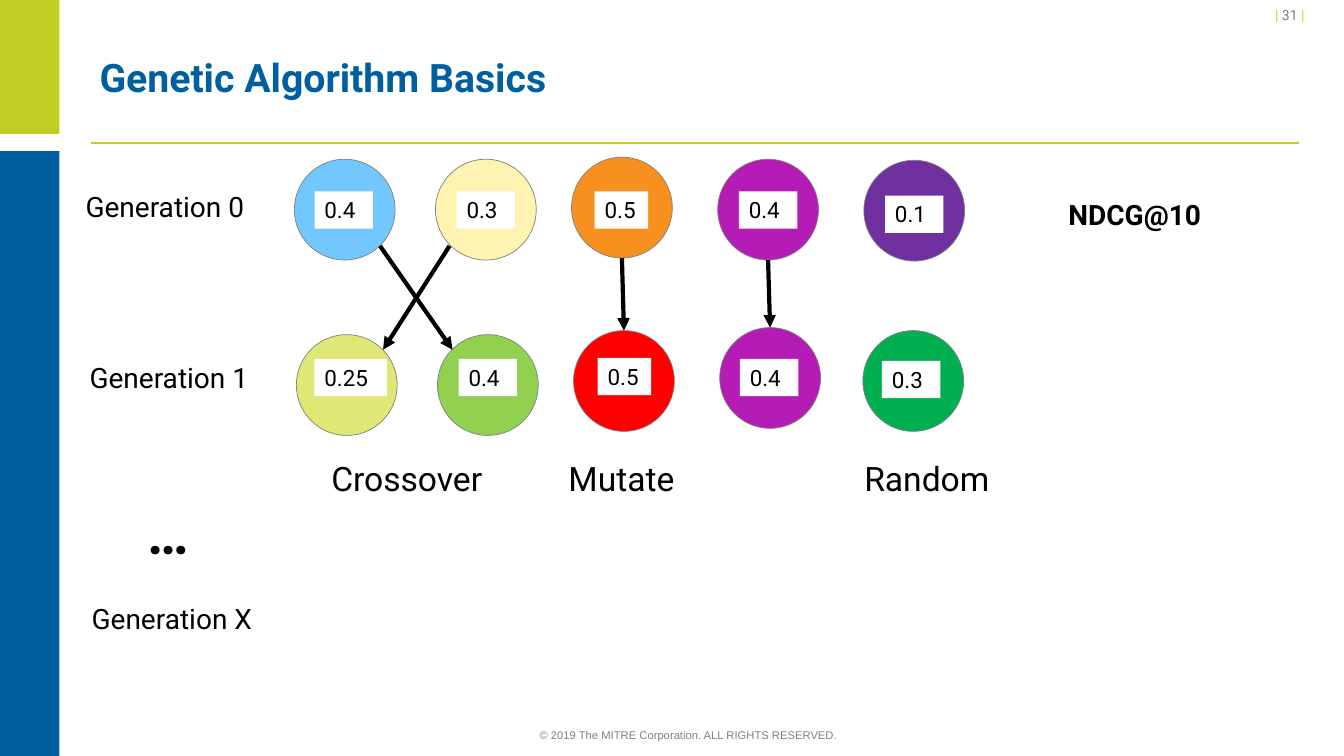
"""Builds a slide showing how a genetic algorithm moves from one generation to the next."""
from lxml import etree
from pptx import Presentation
from pptx.dml.color import RGBColor
from pptx.enum.shapes import MSO_CONNECTOR, MSO_SHAPE
from pptx.enum.text import MSO_ANCHOR, PP_ALIGN
from pptx.oxml.ns import qn
from pptx.util import Inches, Pt

RECT, OVAL, STRAIGHT = MSO_SHAPE.RECTANGLE, MSO_SHAPE.OVAL, MSO_CONNECTOR.STRAIGHT
LEFT, CENTER, RIGHT = PP_ALIGN.LEFT, PP_ALIGN.CENTER, PP_ALIGN.RIGHT
TOP, MIDDLE, BOTTOM = MSO_ANCHOR.TOP, MSO_ANCHOR.MIDDLE, MSO_ANCHOR.BOTTOM

WIDTH, HEIGHT = Inches(13.33), Inches(7.5)
COLUMNS, ROWS = 40, 30
CIRCLE = (3, 4)
LABEL_HEIGHT = 1.48

COLORS = {
    "lime": "C1CD23", "blue": "005F9E", "grey": "808080", "black": "000000",
    "white": "FFFFFF", "sky": "72C7FF", "cream": "FFF3B1", "orange": "F7901E",
    "magenta": "B51BB5", "purple": "7030A0", "pear": "DFE775", "leaf": "92D050",
    "red": "FF0000", "green": "00B050",
}

# Each member: circle column and row, fill, label column, row and width, value.
GENERATION_0 = [
    (8.76, 6.32, "sky", 9.36, 7.6, 1.74, "0.4"),
    (12.96, 6.32, "cream", 13.59, 7.6, 1.74, "0.3"),
    (17.01, 6.24, "orange", 17.7, 7.6, 1.59, "0.5"),
    (21.36, 6.32, "magenta", 21.99, 7.6, 1.74, "0.4"),
    (25.71, 6.36, "purple", 26.34, 7.76, 1.74, "0.1"),
]
GENERATION_1 = [
    (8.82, 13.28, "pear", 9.36, 14.24, 2.16, "0.25"),
    (13.02, 13.28, "leaf", 13.65, 14.24, 1.74, "0.4"),
    (17.07, 13.12, "red", 17.79, 14.2, 1.59, "0.5"),
    (21.42, 13, "magenta", 22.02, 14.24, 1.74, "0.4"),
    (25.68, 13.12, "green", 26.25, 14.32, 1.74, "0.3"),
]
CROSSOVER_ARROWS = [(11.31, 9.76, 13.47, 13.88), (13.38, 9.76, 11.4, 13.88)]
CAPTIONS = [
    (2.25, 7.32, 5.76, 1.76, "Generation 0", 20, LEFT, False),
    (2.37, 14.12, 5.76, 1.76, "Generation 1", 20, LEFT, False),
    (2.43, 23.68, 6.09, 1.76, "Generation X", 20, LEFT, False),
    (3.24, 19.6, 3.51, 3.08, "…", 40, CENTER, True),
    (31.5, 7.64, 4.89, 1.76, "NDCG@10", 20, LEFT, True),
    (9.51, 17.96, 5.19, 2, "Crossover", 24, CENTER, False),
    (15.9, 17.96, 5.19, 2, "Mutate", 24, CENTER, False),
    (24.99, 17.96, 5.19, 2, "Random", 24, CENTER, False),
]


def rgb(name):
    """Return a named colour."""
    return RGBColor.from_string(COLORS[name])


def place(*cells):
    """Turn alternating columns and rows into slide lengths."""
    steps = (WIDTH / COLUMNS, HEIGHT / ROWS)
    return [round(cell * steps[i % 2]) for i, cell in enumerate(cells)]


def add_block(slide, kind, box, fill, outline=None):
    """Add a filled preset shape."""
    s = slide.shapes.add_shape(kind, *place(*box))
    s.shadow.inherit = False
    s.fill.solid()
    s.fill.fore_color.rgb = rgb(fill)
    if outline:
        s.line.color.rgb = rgb(outline)
        s.line.width = Pt(0.5)
    else:
        s.line.fill.background()
    return s


def write(s, runs, size, align=LEFT, anchor=TOP, bold=False, font="Roboto", spacing=None):
    """Write one paragraph of (text, colour) runs into a shape."""
    tf = s.text_frame
    tf.word_wrap = True
    tf.vertical_anchor = anchor
    p = tf.paragraphs[0]
    p.alignment = align
    if spacing:
        p.line_spacing = Pt(spacing)
    for text, color in runs:
        r = p.add_run()
        r.text = text
        r.font.name = font
        r.font.size = Pt(size)
        r.font.bold = bold
        r.font.color.rgb = rgb(color)


def add_text(slide, box, runs, size, **style):
    """Add a text box."""
    write(slide.shapes.add_textbox(*place(*box)), runs, size, **style)


def add_member(slide, x, y, fill, label_x, label_y, label_width, value):
    """Add a circle with its score label and return the circle."""
    circle = add_block(slide, OVAL, (x, y, *CIRCLE), fill, "grey")
    label = add_block(slide, RECT, (label_x, label_y, label_width, LABEL_HEIGHT), "white")
    label.text_frame.margin_right = 0
    write(label, [(value, "black")], 16)
    return circle


def add_line(slide, ends, color, width, arrow=False):
    """Add a straight line, with an arrowhead at its end if asked."""
    s = slide.shapes.add_connector(STRAIGHT, *place(*ends))
    s.line.color.rgb = rgb(color)
    s.line.width = Pt(width)
    if arrow:
        etree.SubElement(s.line._get_or_add_ln(), qn("a:tailEnd"), type="triangle")
    etree.SubElement(s._element.spPr, qn("a:effectLst"))
    return s


def add_frame(slide):
    """Add the side bars, title, rule, page number and footer."""
    add_line(slide, (2.7, 5.68, 38.67, 5.68), "lime", 1)
    add_block(slide, RECT, (0, 0, 1.77, 5.32), "lime")
    add_block(slide, RECT, (0, 6, 1.77, 24), "blue")
    add_text(slide, (10.92, 28.68, 19.14, 0.96),
             [("© 2019 The MITRE Corporation. ALL RIGHTS RESERVED.", "grey")], 8,
             align=CENTER, anchor=BOTTOM, font="Arial", spacing=13)
    add_text(slide, (36.96, 0.32, 2.16, 0.8),
             [("| ", "lime"), ("31 ", "grey"), ("|", "lime")], 10,
             align=RIGHT, anchor=BOTTOM)
    add_text(slide, (2.67, 1.2, 36, 3.8), [("Genetic Algorithm Basics", "blue")], 28,
             anchor=MIDDLE, bold=True, spacing=32)


def main():
    """Build and save the slide."""
    prs = Presentation()
    prs.slide_width, prs.slide_height = WIDTH, HEIGHT
    slide = prs.slides.add_slide(prs.slide_layouts[6])
    add_frame(slide)
    for member in GENERATION_0:
        add_member(slide, *member)
    children = [add_member(slide, *member) for member in GENERATION_1]
    for ends in CROSSOVER_ARROWS:
        add_line(slide, ends, "black", 3, arrow=True)
    for i in (2, 3):
        (x0, y0), (x1, y1) = GENERATION_0[i][:2], GENERATION_1[i][:2]
        half, full = CIRCLE[0] / 2, CIRCLE[1]
        s = add_line(slide, (x0 + half, y0 + full, x1 + half, y1), "black", 3, arrow=True)
        s.end_connect(children[i], 0)
    for *box, text, size, align, bold in CAPTIONS:
        add_text(slide, box, [(text, "black")], size, align=align, bold=bold)
    prs.save("out.pptx")


if __name__ == "__main__":
    main()
